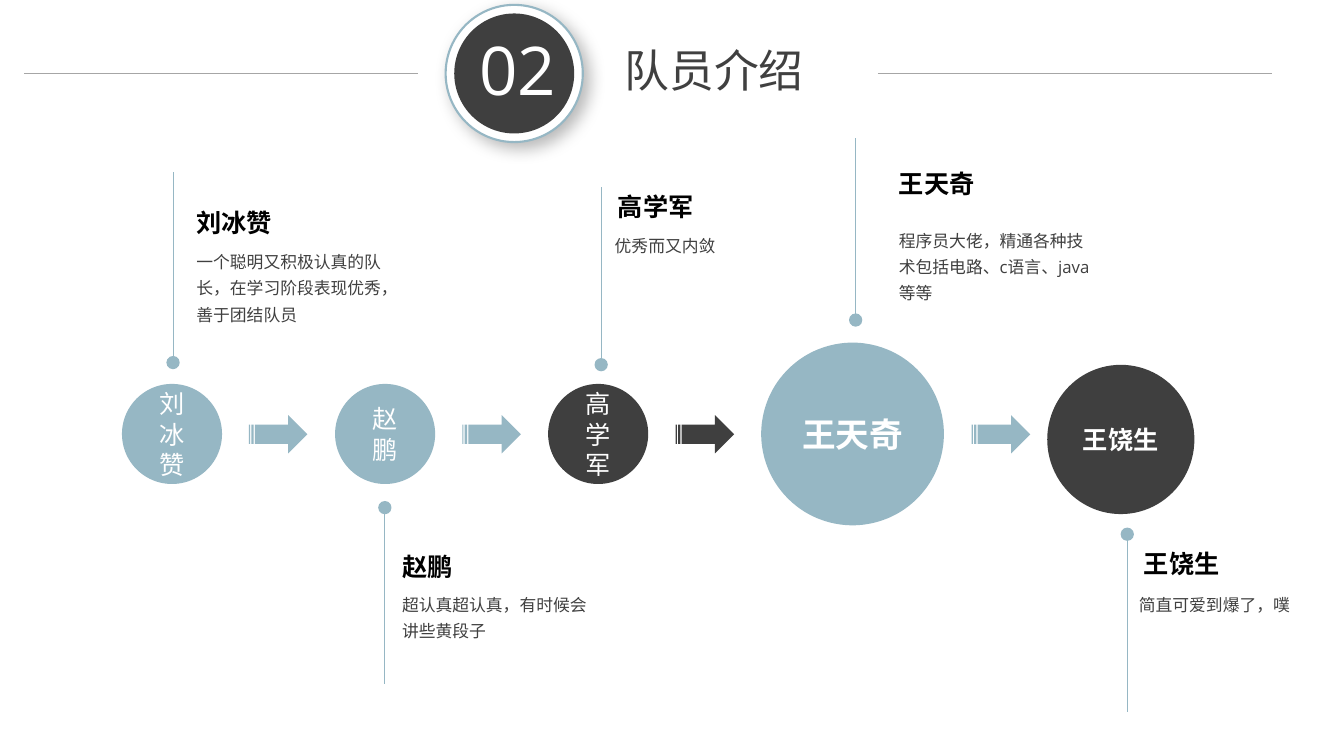
import pptx
import pptx.util
import pptx.dml.color
import pptx.enum.shapes
import pptx.enum.text
import pptx.oxml
import pptx.oxml.ns

Pt = pptx.util.Pt
RGB = pptx.dml.color.RGBColor
SHAPE = pptx.enum.shapes.MSO_SHAPE
ALIGN = pptx.enum.text.PP_ALIGN
ANCHOR = pptx.enum.text.MSO_ANCHOR

BLUE = RGB(0x96, 0xB7, 0xC4)
DARK = RGB(0x3F, 0x3F, 0x3F)
GREY = RGB(0xA6, 0xA6, 0xA6)
TEXT = RGB(0x40, 0x40, 0x40)
BLACK = RGB(0, 0, 0)
WHITE = RGB(255, 255, 255)

TITLE, NUMBER = "队员介绍", "02"

# circle: centre x, centre y, width, height, colour, text format
# pin: x, dot y, far end y; name and note: left, top
SMALL = {"size": Pt(18), "bold": False}
MEMBERS = [
    {"name": "刘冰赞", "note": "一个聪明又积极认真的队长，在学习阶段表现优秀，善于团结队员",
     "circle": (122.9, 310, 71.5, 71.5, BLUE, SMALL),
     "pin": (123.6, 259, 123.1), "name_at": (133.2, 144.7), "note_at": (133.2, 172.1)},
    {"name": "赵鹏", "note": "超认真超认真，有时候会讲些黄段子",
     "circle": (275.1, 310, 71.5, 71.5, BLUE, SMALL),
     "pin": (274.9, 362.6, 488.9), "name_at": (280.1, 390.2), "note_at": (280.1, 416.9)},
    {"name": "高学军", "note": "优秀而又内敛",
     "circle": (427.3, 310, 71.5, 71.5, DARK, SMALL),
     "pin": (429.4, 260.5, 133.9), "name_at": (434.2, 133.2), "note_at": (432, 160.6)},
    {"name": "王天奇", "note": "程序员大佬，精通各种技术包括电路、c语言、java等等",
     "circle": (609, 310, 130.5, 130.5, BLUE, {"size": Pt(24), "bold": True}),
     "pin": (611.2, 228.6, 98.6), "name_at": (635, 116.6), "note_at": (635, 157)},
    {"name": "王饶生", "note": "简直可爱到爆了，噗",
     "circle": (800.6, 313.9, 105.1, 106.6, DARK, {"size": Pt(18), "bold": True}),
     "pin": (805.2, 381.6, 508.3), "name_at": (810, 388.1), "note_at": (806.4, 416.9)},
]
ARROWS = [(177.8, BLUE), (330.2, BLUE), (482.6, DARK), (694.1, BLUE)]
ARROW_W, ARROW_H, ARROW_TOP = 41.8, 27.4, 296.5
DOT = 9.5
NOTE_W = 152.6
RULES, RULE_W, RULE_Y = (17.3, 627.1), 281.5, 52.5
BADGE_X, BADGE_Y, RING, DISC = 367.3, 52.5, 98, 85.7

SHADOW = (
    '<a:effectLst xmlns:a="http://schemas.openxmlformats.org/drawingml/2006/main">'
    '<a:outerShdw blurRad="152400" dist="76200" dir="2700000" algn="tl" rotWithShape="0">'
    '<a:srgbClr val="000000"><a:alpha val="28000"/></a:srgbClr>'
    '</a:outerShdw></a:effectLst>')


def set_attrs(obj, values):
    for key, value in values.items():
        setattr(obj, key, value)


def write(sp, text, font, para=None, insets=(7.2, 3.6), anchor=ANCHOR.TOP):
    tf = sp.text_frame
    side, edge = Pt(insets[0]), Pt(insets[1])
    set_attrs(tf, {"word_wrap": True, "vertical_anchor": anchor,
                   "auto_size": pptx.enum.text.MSO_AUTO_SIZE.NONE,
                   "margin_left": side, "margin_right": side,
                   "margin_top": edge, "margin_bottom": edge})
    p = tf.paragraphs[0]
    set_attrs(p, para or {})
    r = p.add_run()
    r.text = text
    font = {"name": "Open Sans", **font}
    r.font.color.rgb = font.pop("color")
    set_attrs(r.font, font)


def add_filled(kind, x, y, w, h, color):
    sp = s.shapes.add_shape(kind, Pt(x), Pt(y), Pt(w), Pt(h))
    sp.shadow.inherit = False
    sp.fill.solid()
    sp.fill.fore_color.rgb = color
    sp.line.fill.background()
    return sp


def add_circle(cx, cy, w, h, color):
    return add_filled(SHAPE.OVAL, cx - w / 2, cy - h / 2, w, h, color)


def add_line(x1, y1, x2, y2, color):
    line = s.shapes.add_connector(pptx.enum.shapes.MSO_CONNECTOR.STRAIGHT,
                                  Pt(x1), Pt(y1), Pt(x2), Pt(y2))
    line.line.color.rgb = color
    line.line.width = Pt(0.5)
    line._element.spPr.append(pptx.oxml.parse_xml(
        '<a:effectLst %s/>' % pptx.oxml.ns.nsdecls("a")))


def add_text(x, y, w, h, text, font, para):
    box = s.shapes.add_textbox(Pt(x), Pt(y), Pt(w), Pt(h))
    write(box, text, font, para)


prs = pptx.Presentation()
prs.slide_width, prs.slide_height = Pt(960), Pt(540)
s = prs.slides.add_slide(prs.slide_layouts[5])

title = s.shapes.title
set_attrs(title, {"left": Pt(362.9), "top": Pt(30.2), "width": Pt(294.5), "height": Pt(38.9)})
write(title, TITLE, {"size": Pt(32), "color": TEXT}, {"alignment": ALIGN.CENTER},
      (0, 0), ANCHOR.MIDDLE)
for x in RULES:
    add_line(x, RULE_Y, x + RULE_W, RULE_Y, GREY)

ring = add_circle(BADGE_X, BADGE_Y, RING, RING, WHITE)
ring.line.color.rgb = BLUE
ring.line.width = Pt(1.5)
spPr = ring._element.spPr
spPr.remove(spPr.find(pptx.oxml.ns.qn("a:effectLst")))
spPr.append(pptx.oxml.parse_xml(SHADOW))
add_circle(BADGE_X, BADGE_Y, DISC, DISC, DARK)
add_text(333.4, 16.6, 72.7, 65.5, NUMBER, {"size": Pt(48), "color": WHITE},
         {"alignment": ALIGN.CENTER})

for x, color in ARROWS:
    add_filled(SHAPE.STRIPED_RIGHT_ARROW, x, ARROW_TOP, ARROW_W, ARROW_H, color)

for m in MEMBERS:
    *place, color, font = m["circle"]
    write(add_circle(*place, color), m["name"], {**font, "color": WHITE},
          {"alignment": ALIGN.CENTER}, (9.4, 5), ANCHOR.MIDDLE)
    x, dot_y, end_y = m["pin"]
    add_line(x, dot_y, x, end_y, BLUE)
    add_circle(x, dot_y, DOT, DOT, BLUE)
    add_text(*m["name_at"], NOTE_W, 30.2, m["name"],
             {"size": Pt(18), "bold": True, "color": BLACK}, {"alignment": ALIGN.JUSTIFY})
    add_text(*m["note_at"], NOTE_W, 62, m["note"],
             {"size": Pt(12), "color": TEXT}, {"line_spacing": 1.3})

prs.save("out.pptx")
